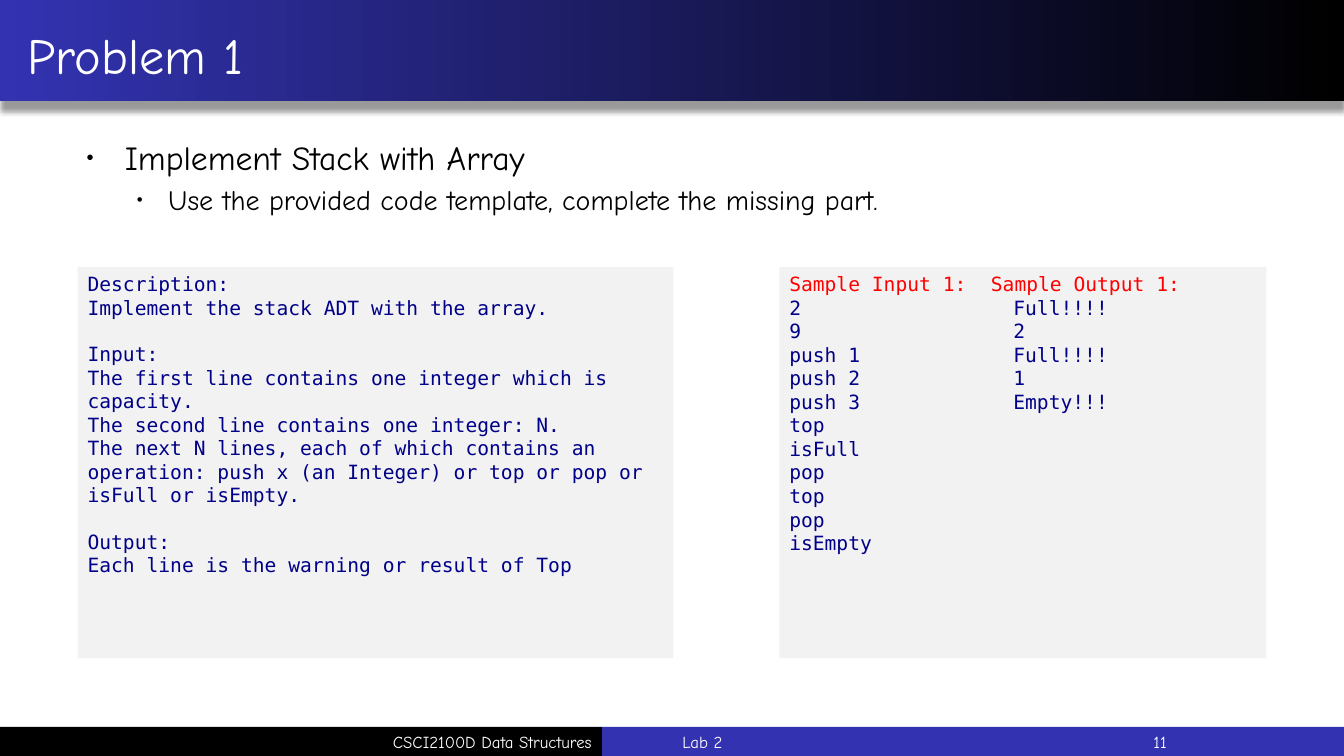
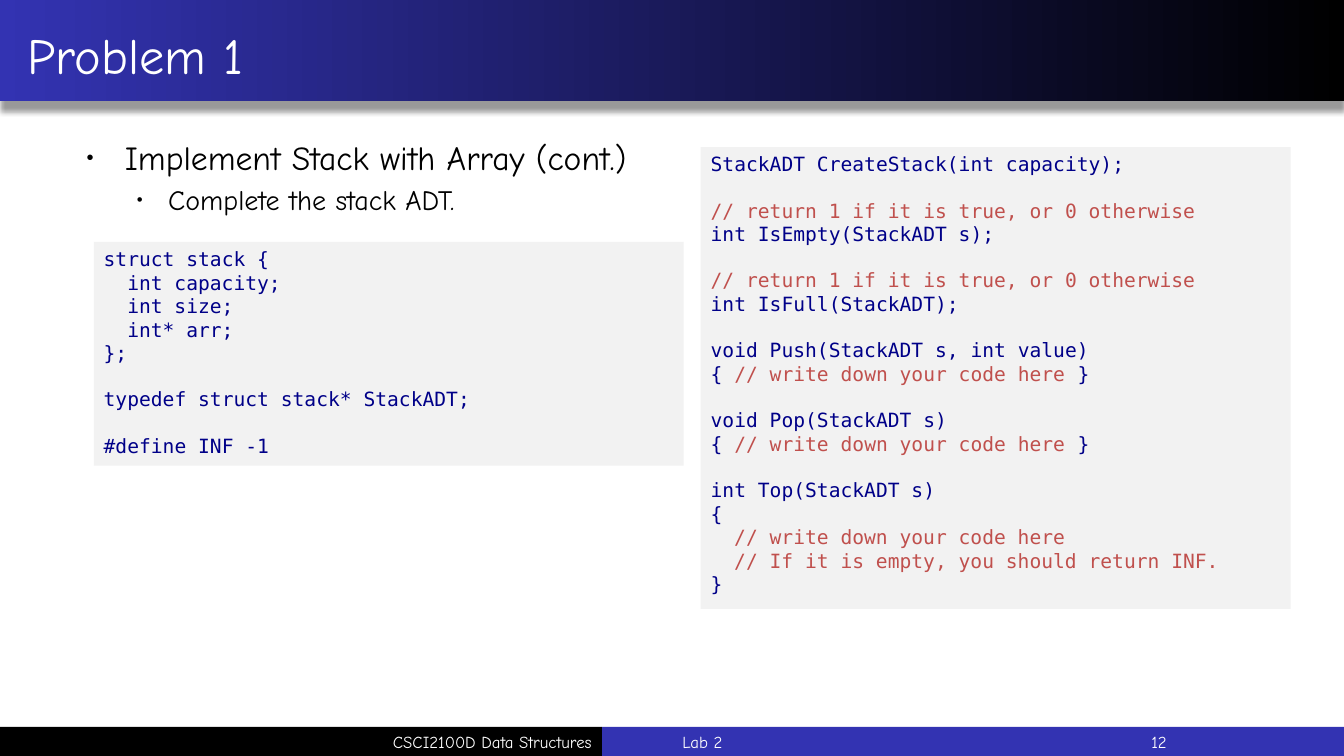
"""Build two lab slides about implementing a stack with an array."""
from dataclasses import dataclass

from lxml import etree
from pptx import Presentation
from pptx.dml.color import RGBColor as RGB
from pptx.enum.shapes import MSO_SHAPE as SHAPE
from pptx.enum.text import MSO_ANCHOR as ANCHOR, MSO_AUTO_SIZE as AUTO, PP_ALIGN as ALIGN
from pptx.oxml.ns import qn
from pptx.util import Inches, Pt


@dataclass(frozen=True)
class Theme:
    black: str = "000000"
    white: str = "FFFFFF"
    blue: str = "3333B2"
    panel: str = "F2F2F2"
    code: str = "000088"
    comment: str = "C0504D"
    sample: str = "FF0000"
    text_font: str = "Comic Neue"
    code_font: str = "DejaVu Sans Mono"
    title_size: float = 36
    bullet_sizes: tuple = (24, 20)
    code_size: float = 14
    footer_size: float = 12
    code_line: float = 16.3
    code_char: float = 0.117


theme = Theme()


def add_box(s, at, fill=None):
    """Add a rectangle, or a plain text box when there is no fill."""
    at = [Inches(v) for v in at]
    if fill is None:
        sp = s.shapes.add_textbox(*at)
    else:
        sp = s.shapes.add_shape(SHAPE.RECTANGLE, *at)
        sp.shadow.inherit = False
        sp.fill.solid()
        sp.fill.fore_color.rgb = RGB.from_string(fill)
        sp.line.fill.background()
    sp.text_frame.word_wrap = True
    return sp


def style(p, size, colour, font=theme.text_font, align=ALIGN.LEFT):
    """Format every run of a paragraph."""
    p.alignment = align
    for r in p.runs:
        r.font.size = Pt(size)
        r.font.name = font
        r.font.color.rgb = RGB.from_string(colour)


DESCRIPTION = """Description:
Implement the stack ADT with the array.

Input:
The first line contains one integer which is capacity.
The second line contains one integer: N.
The next N lines, each of which contains an operation: push x (an Integer) or top or pop or isFull or isEmpty.

Output:
Each line is the warning or result of Top"""

SAMPLE = """Sample Input 1:\tSample Output 1:
2\tFull!!!!
9\t2
push 1\tFull!!!!
push 2\t1
push 3\tEmpty!!!
top
isFull
pop
top
pop
isEmpty"""

STRUCT = """struct stack {
  int capacity;
  int size;
  int* arr;
};

typedef struct stack* StackADT;

#define INF -1"""

FUNCTIONS = """StackADT CreateStack(int capacity);

// return 1 if it is true, or 0 otherwise
int IsEmpty(StackADT s);

// return 1 if it is true, or 0 otherwise
int IsFull(StackADT);

void Push(StackADT s, int value)
{ |// write down your code here |}

void Pop(StackADT s)
{ |// write down your code here |}

int Top(StackADT s)
{
  // write down your code here
  // If it is empty, you should return INF.
}"""

SLIDES = [
    ("11", ["Implement Stack with Array",
            "Use the provided code template, complete the missing part."],
     [((0.77, 2.65, 5.91, 3.88), DESCRIPTION), ((7.73, 2.65, 4.83, 3.88), SAMPLE)]),
    ("12", ["Implement Stack with Array (cont.)", "Complete the stack ADT."],
     [((0.93, 2.4, 5.85, 2.22), STRUCT), ((6.95, 1.46, 5.85, 4.58), FUNCTIONS)]),
]
BULLET_INDENTS = [(0.38, -0.38), (0.81, -0.31)]
FOOTER_TOP, FOOTER_HEIGHT, FOOTER_SPLIT = 7.21, 0.29, 5.97

prs = Presentation()
prs.slide_width, prs.slide_height = Inches(13.33), Inches(7.5)
layout = prs.slide_layouts[5]
slides = [prs.slides.add_slide(layout) for _ in SLIDES]

header = add_box(slides[0], (0, 0, 13.33, 1), theme.blue)
header.fill.gradient()
header.fill.gradient_angle = 180
for stop, colour in zip(header.fill.gradient_stops, (theme.black, theme.blue)):
    stop.color.rgb = RGB.from_string(colour)
effects = header.element.spPr.find(qn("a:effectLst"))
shadow = etree.SubElement(effects, qn("a:outerShdw"), blurRad=str(Pt(4)),
                          dist=str(Pt(7)), dir="5400000", algn="t", rotWithShape="0")
tint = etree.SubElement(shadow, qn("a:srgbClr"), val=theme.black)
etree.SubElement(tint, qn("a:alpha"), val="40000")

blue_band = add_box(slides[0], (FOOTER_SPLIT, FOOTER_TOP, 13.33 - FOOTER_SPLIT, FOOTER_HEIGHT), theme.blue)
course_band = add_box(slides[0], (0, FOOTER_TOP, FOOTER_SPLIT, FOOTER_HEIGHT), theme.black)
course_band.text_frame.text = "CSCI2100D Data Structures"
course_band.text_frame.vertical_anchor = ANCHOR.MIDDLE
style(course_band.text_frame.paragraphs[0], theme.footer_size, theme.white, align=ALIGN.RIGHT)
for band in (header, blue_band, course_band):
    layout.shapes.element.append(band.element)

for s, (number, bullets, panels) in zip(slides, SLIDES):
    title = s.shapes.title
    title.left, title.top, title.width, title.height = (Inches(v) for v in (0, 0.05, 13.33, 0.98))
    tf = title.text_frame
    tf.text = "Problem 1"
    tf.margin_left = Inches(0.27)
    tf.vertical_anchor = ANCHOR.MIDDLE
    tf.auto_size = AUTO.NONE
    style(tf.paragraphs[0], theme.title_size, theme.white)

    tf = add_box(s, (0.76, 1.31, 11.81, 1)).text_frame
    tf.text = "\n".join(bullets)
    for level, (p, size) in enumerate(zip(tf.paragraphs, theme.bullet_sizes)):
        style(p, size, theme.black)
        p.level = level
        p.space_before = Pt(size * 0.2)
        pPr = p._p.get_or_add_pPr()
        margin, indent = BULLET_INDENTS[level]
        pPr.set("marL", str(Inches(margin)))
        pPr.set("indent", str(Inches(indent)))
        etree.SubElement(pPr, qn("a:buSzPct"), val="60000")
        etree.SubElement(pPr, qn("a:buFont"), typeface="Arial")
        etree.SubElement(pPr, qn("a:buChar"), char="•")

    for at, text, align in (((6.67, FOOTER_TOP, 3.5, FOOTER_HEIGHT), "Lab 2", ALIGN.LEFT),
                            ((10.42, FOOTER_TOP, 1.25, FOOTER_HEIGHT), number, ALIGN.RIGHT)):
        tf = add_box(s, at).text_frame
        tf.text = text
        tf.vertical_anchor = ANCHOR.MIDDLE
        style(tf.paragraphs[0], theme.footer_size, theme.white, align=align)

    for at, text in panels:
        tf = add_box(s, at, theme.panel).text_frame
        tf.vertical_anchor = ANCHOR.TOP
        lines = [(i == 0 and g > 0, line) for g, group in enumerate(text.split("\n\n"))
                 for i, line in enumerate(group.split("\n"))]
        for n, (starts_group, line) in enumerate(lines):
            p = tf.paragraphs[0] if n == 0 else tf.add_paragraph()
            code = line.lstrip()
            is_sample = code.startswith("Sample")
            for piece in code.split("|"):
                p.add_run().text = piece
            style(p, theme.code_size, theme.sample if is_sample else theme.code, theme.code_font)
            for r in p.runs:
                if r.text.startswith("//"):
                    r.font.color.rgb = RGB.from_string(theme.comment)
            if starts_group:
                p.space_before = Pt(theme.code_line)
            pPr = p._p.get_or_add_pPr()
            pPr.set("marL", str(Inches((len(line) - len(code)) * theme.code_char)))
            if "\t" in code:
                tabs = etree.SubElement(pPr, qn("a:tabLst"))
                column = 2 if is_sample else 19 * theme.code_char
                etree.SubElement(tabs, qn("a:tab"), pos=str(Inches(column)), algn="l")

prs.save("out.pptx")
